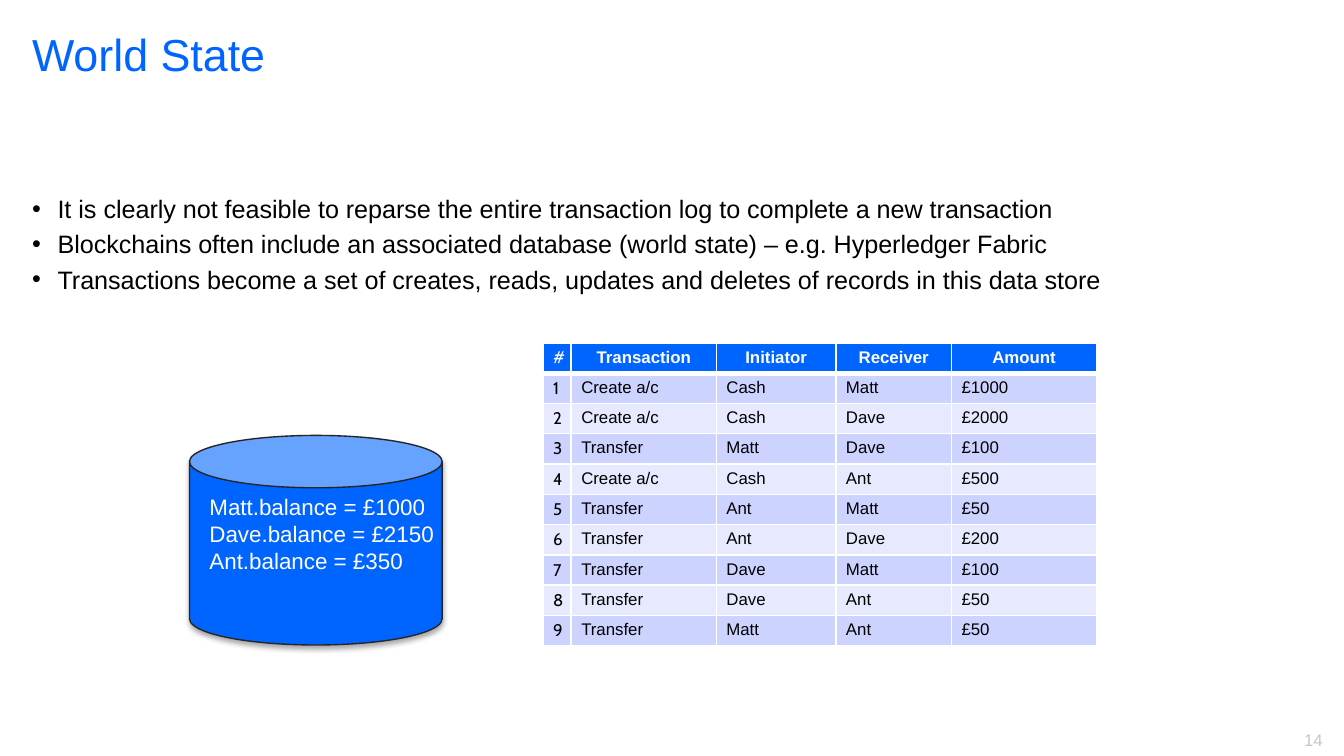
from lxml.etree import SubElement
from pptx import Presentation
from pptx.dml.color import RGBColor
from pptx.enum.shapes import MSO_SHAPE
from pptx.enum.text import MSO_ANCHOR, PP_ALIGN
from pptx.oxml import parse_xml
from pptx.oxml.ns import nsdecls, qn
from pptx.util import Inches, Pt

COLORS = {
    "blue": "0064FF",
    "black": "000000",
    "white": "FFFFFF",
    "outline": "262626",
    "page": "C6C6C6",
    "band_dark": "CCD3FF",
    "band_light": "E7EAFF",
}


def color(name):
    return RGBColor.from_string(COLORS[name])


def add_run(paragraph, text, size, color_name, font="Arial", bold=False):
    run = paragraph.add_run()
    run.text = text
    run.font.size = Pt(size)
    run.font.name = font
    run.font.bold = bold
    run.font.color.rgb = color(color_name)


prs = Presentation()
prs.slide_width = Inches(10)
prs.slide_height = Inches(10) * 9 // 16
slide = prs.slides.add_slide(prs.slide_layouts[6])
shapes = slide.shapes

# Page number
page_number = shapes.add_textbox(Inches(9.36), Inches(5.38), Inches(0.58), Inches(0.25)).text_frame
page_number.word_wrap = True
page_number.paragraphs[0].alignment = PP_ALIGN.RIGHT
add_run(page_number.paragraphs[0], "14", 9, "page")

# Title
title = shapes.add_textbox(Inches(0.14), Inches(0.16), Inches(8.5), Inches(1.11)).text_frame
title.word_wrap = True
title.margin_top = Inches(0.04)
add_run(title.paragraphs[0], "World State", 24, "blue")

# Bullet points
points = [
    "It is clearly not feasible to reparse the entire transaction log to complete a new transaction",
    "Blockchains often include an associated database (world state) – e.g. Hyperledger Fabric",
    "Transactions become a set of creates, reads, updates and deletes of records in this data store",
]
body = shapes.add_textbox(Inches(0.14), Inches(1.39), Inches(9.73), Inches(3.24)).text_frame
body.word_wrap = True
for i, point in enumerate(points):
    paragraph = body.add_paragraph() if i else body.paragraphs[0]
    if i:
        paragraph.space_before = Pt(2.7)
    props = paragraph._p.get_or_add_pPr()
    props.set("marL", str(Inches(0.19)))
    props.set("indent", str(-Inches(0.19)))
    SubElement(props, qn("a:buFont"), typeface="Arial")
    SubElement(props, qn("a:buChar"), char="•")
    add_run(paragraph, point, 13.5, "black")

# World state database
database = shapes.add_shape(MSO_SHAPE.CAN, Inches(1.41), Inches(3.24), Inches(1.88), Inches(1.56))
database.fill.solid()
database.fill.fore_color.rgb = color("blue")
database.line.color.rgb = color("outline")
database.line.width = Pt(0.75)
database._element.spPr.append(parse_xml(
    f'<a:effectLst {nsdecls("a")}>'
    f'<a:outerShdw blurRad="{Pt(3.1)}" dist="{Pt(1.8)}" dir="5400000" rotWithShape="0">'
    f'<a:srgbClr val="{COLORS["black"]}"><a:alpha val="35000"/></a:srgbClr>'
    '</a:outerShdw></a:effectLst>'))

balances = shapes.add_textbox(Inches(1.46), Inches(3.62), Inches(1.91), Inches(0.71)).text_frame
balances.word_wrap = False
for i, balance in enumerate(["Matt.balance = £1000", "Dave.balance = £2150", "Ant.balance = £350"]):
    paragraph = balances.add_paragraph() if i else balances.paragraphs[0]
    add_run(paragraph, balance, 12, "white")

# Transaction log
transactions = [
    ("#", "Transaction", "Initiator", "Receiver", "Amount"),
    ("1", "Create a/c", "Cash", "Matt", "£1000"),
    ("2", "Create a/c", "Cash", "Dave", "£2000"),
    ("3", "Transfer", "Matt", "Dave", "£100"),
    ("4", "Create a/c", "Cash", "Ant", "£500"),
    ("5", "Transfer", "Ant", "Matt", "£50"),
    ("6", "Transfer", "Ant", "Dave", "£200"),
    ("7", "Transfer", "Dave", "Matt", "£100"),
    ("8", "Transfer", "Dave", "Ant", "£50"),
    ("9", "Transfer", "Matt", "Ant", "£50"),
]
column_widths = [0.21, 1.08, 0.89, 0.86, 1.08]
log_height = Inches(2.25)
side_inset, end_inset = Inches(0.15) // 2, Inches(0.15) // 4

log = shapes.add_table(len(transactions), len(column_widths), Inches(4.04), Inches(2.55),
                       Inches(sum(column_widths)), log_height).table
log.horz_banding = False
for column, width in zip(log.columns, column_widths):
    column.width = Inches(width)

for r, transaction in enumerate(transactions):
    log.rows[r].height = log_height // len(transactions)
    header = r == 0
    fill_name = "blue" if header else "band_dark" if r % 2 else "band_light"
    for c, value in enumerate(transaction):
        cell = log.cell(r, c)
        cell.margin_left = cell.margin_right = side_inset
        cell.margin_top = cell.margin_bottom = end_inset
        cell.vertical_anchor = MSO_ANCHOR.MIDDLE if header else MSO_ANCHOR.TOP
        for side in "LRTB":
            thick = (header and side == "B") or (r == 1 and side == "T")
            border = SubElement(cell._tc.get_or_add_tcPr(), qn(f"a:ln{side}"),
                                w=str(Pt(3 if thick else 1)))
            SubElement(SubElement(border, qn("a:solidFill")), qn("a:srgbClr"), val=COLORS["white"])
        cell.fill.solid()
        cell.fill.fore_color.rgb = color(fill_name)
        paragraph = cell.text_frame.paragraphs[0]
        paragraph.alignment = PP_ALIGN.CENTER if header else PP_ALIGN.LEFT
        add_run(paragraph, value, 9, "white" if header else "black",
                font="Arial" if c else "Cabin", bold=header and c > 0)

prs.save("out.pptx")
